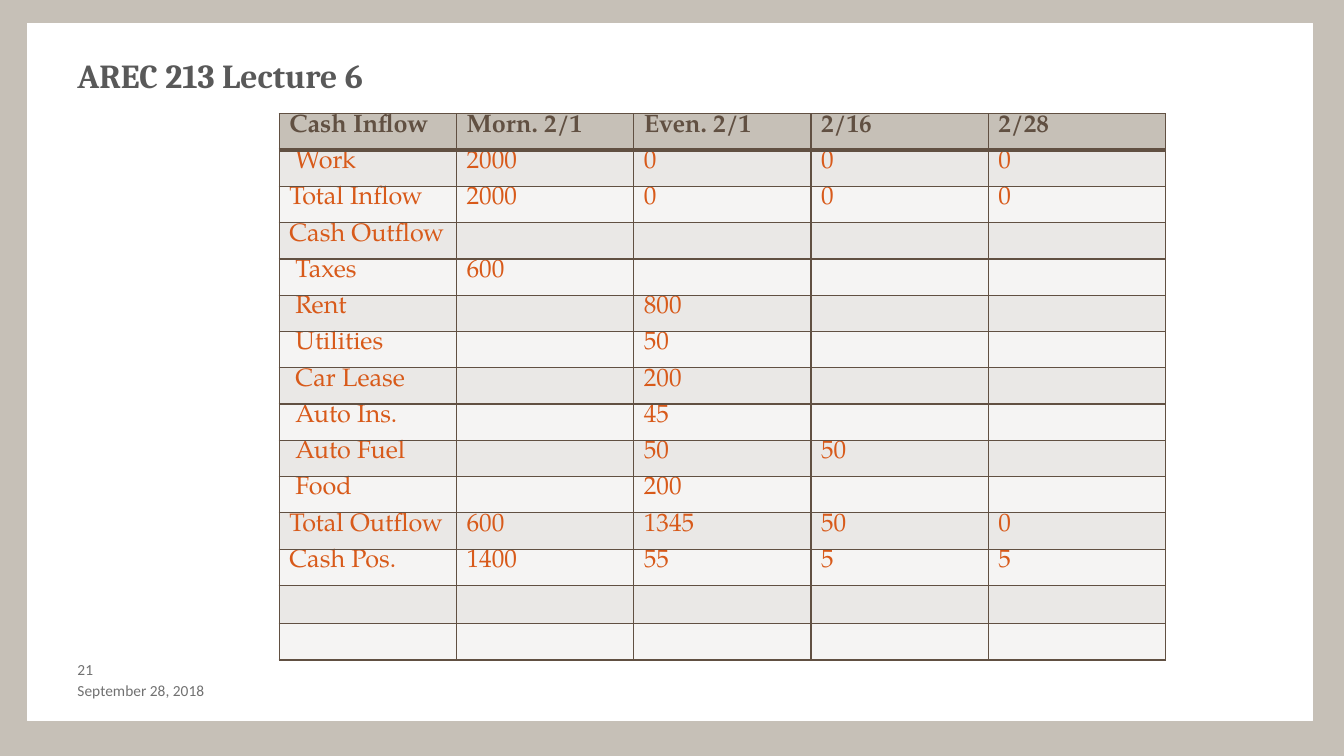
from dataclasses import dataclass

from lxml import etree
from pptx import Presentation
from pptx.dml.color import RGBColor
from pptx.enum.shapes import MSO_SHAPE
from pptx.enum.text import MSO_ANCHOR
from pptx.oxml.ns import qn
from pptx.util import Inches, Pt

RECTANGLE = MSO_SHAPE.RECTANGLE
TOP, MIDDLE = MSO_ANCHOR.TOP, MSO_ANCHOR.MIDDLE


@dataclass(frozen=True)
class Theme:
    """Colours, fonts and type sizes of the lecture deck."""
    frame: str = "C6C0B7"
    paper: str = "FFFFFF"
    heading: str = "595959"
    footer: str = "717171"
    rule: str = "615042"
    figure: str = "D85A1A"
    bands: tuple = ("EAE8E6", "F5F4F3")
    heading_font: str = "Cambria"
    footer_font: str = "Calibri"
    table_font: str = "TeX Gyre Pagella"
    heading_size: int = 24
    footer_size: int = 11
    table_size: int = 18
    thin: int = 1
    thick: int = 3


CASH_FLOW = [
    ["Cash Inflow", "Morn. 2/1", "Even. 2/1", "2/16", "2/28"],
    ["Work", "2000", "0", "0", "0"],
    ["Total Inflow", "2000", "0", "0", "0"],
    ["Cash Outflow", "", "", "", ""],
    ["Taxes", "600", "", "", ""],
    ["Rent", "", "800", "", ""],
    ["Utilities", "", "50", "", ""],
    ["Car Lease", "", "200", "", ""],
    ["Auto Ins.", "", "45", "", ""],
    ["Auto Fuel", "", "50", "50", ""],
    ["Food", "", "200", "", ""],
    ["Total Outflow", "600", "1345", "50", "0"],
    ["Cash Pos.", "1400", "55", "5", "5"],
    [""] * 5,
    [""] * 5,
]
ITEMS = {"Work", "Taxes", "Rent", "Utilities", "Car Lease", "Auto Ins.", "Auto Fuel", "Food"}


class SlideBuilder:
    """Draws themed elements on the current slide."""

    def __init__(self, slide, theme):
        self.s = slide
        self.theme = theme

    def background(self, color):
        """Fill the slide background."""
        fill = self.s.background.fill
        fill.solid()
        fill.fore_color.rgb = RGBColor.from_string(color)

    def panel(self, box, color):
        """Add a plain rectangle."""
        sp = self.s.shapes.add_shape(RECTANGLE, *map(Inches, box))
        sp.shadow.inherit = False
        sp.fill.solid()
        sp.fill.fore_color.rgb = RGBColor.from_string(color)
        sp.line.color.rgb = RGBColor.from_string(color)
        sp.line.width = Pt(0.75)

    def add_text(self, tf, text, font, size, color, bold=False):
        """Put one formatted run in a text frame."""
        r = tf.paragraphs[0].add_run()
        r.text = text
        formats = {"name": font, "size": Pt(size), "bold": bold}
        for key, value in formats.items():
            setattr(r.font, key, value)
        r.font.color.rgb = RGBColor.from_string(color)

    def text(self, box, text, font, size, color, bold=False, margin_y=0.0, anchor=TOP):
        """Add a wrapped text box."""
        tf = self.s.shapes.add_textbox(*map(Inches, box)).text_frame
        formats = {"word_wrap": True, "vertical_anchor": anchor,
                   "margin_left": Inches(0.1), "margin_right": 0,
                   "margin_top": Inches(margin_y), "margin_bottom": Inches(margin_y)}
        for key, value in formats.items():
            setattr(tf, key, value)
        self.add_text(tf, text, font, size, color, bold)

    def borders(self, cell, widths):
        """Rule the left, right, top and bottom edges of a cell."""
        props = cell._tc.get_or_add_tcPr()
        for side, width in zip("LRTB", widths):
            ln = etree.SubElement(props, qn(f"a:ln{side}"), w=str(Pt(width)))
            fill = etree.SubElement(ln, qn("a:solidFill"))
            etree.SubElement(fill, qn("a:srgbClr"), val=self.theme.rule)

    def cell(self, cell, row, text):
        """Style and fill one table cell."""
        t = self.theme
        header = row == 0
        top = t.thick if row == 1 else t.thin
        bottom = t.thick if header else t.thin
        self.borders(cell, (t.thin, t.thin, top, bottom))
        cell.fill.solid()
        color = t.frame if header else t.bands[(row - 1) % 2]
        cell.fill.fore_color.rgb = RGBColor.from_string(color)
        formats = {"margin_left": Inches(0.16 if text in ITEMS else 0.1),
                   "margin_right": Inches(0.1), "margin_top": 0,
                   "margin_bottom": 0, "vertical_anchor": TOP}
        for key, value in formats.items():
            setattr(cell, key, value)
        if text:
            self.add_text(cell.text_frame, text, t.table_font, t.table_size,
                          t.rule if header else t.figure, header)

    def table(self, left, top, width, row_height, rows):
        """Add a ruled table with equal columns."""
        count = len(rows[0])
        frame = self.s.shapes.add_table(
            len(rows), count, Inches(left), Inches(top),
            Inches(width), Inches(row_height * len(rows)))
        table = frame.table
        for column in table.columns:
            column.width = Inches(width / count)
        for i, values in enumerate(rows):
            table.rows[i].height = Inches(row_height)
            for j, value in enumerate(values):
                self.cell(table.cell(i, j), i, value)
        return table


def main():
    """Build the cash flow slide."""
    prs = Presentation()
    prs.slide_width, prs.slide_height = Inches(13.33), Inches(7.5)
    t = Theme()
    s = SlideBuilder(prs.slides.add_slide(prs.slide_layouts[6]), t)
    s.background(t.frame)
    s.panel((0.27, 0.23, 12.75, 6.92), t.paper)
    s.text((0.67, 0.5, 12, 0.75), "AREC 213 Lecture 6",
           t.heading_font, t.heading_size, t.heading, bold=True, margin_y=0.05)
    footer = (t.footer_font, t.footer_size, t.footer)
    s.text((0.67, 6.75, 2.67, 0.2), "September 28, 2018", *footer, anchor=MIDDLE)
    s.text((0.67, 6.55, 0.53, 0.2), "21", *footer)
    table = s.table(2.77, 1.13, 8.79, 0.36, CASH_FLOW)
    table.rows[13].height = Inches(0.38)
    prs.save("out.pptx")


if __name__ == "__main__":
    main()
